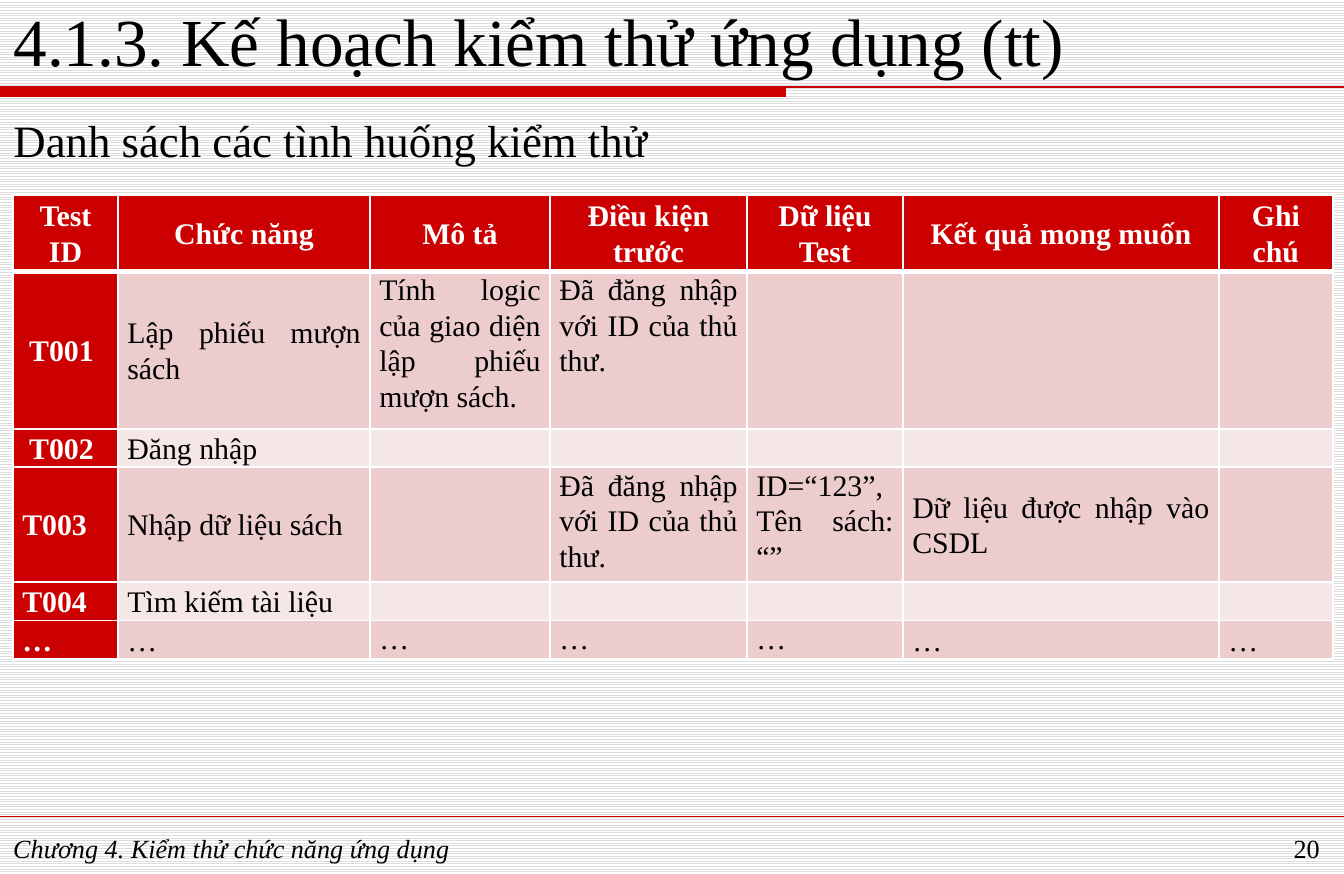
from typing import NamedTuple

from lxml.etree import SubElement
from pptx import Presentation
from pptx.dml.color import RGBColor
from pptx.enum.dml import MSO_PATTERN
from pptx.enum.shapes import MSO_CONNECTOR, MSO_SHAPE
from pptx.enum.text import MSO_ANCHOR as Anchor, MSO_AUTO_SIZE, PP_ALIGN as Align
from pptx.oxml.ns import qn
from pptx.util import Emu, Inches, Pt

PX_PER_INCH = 134.4
FONT = "Times New Roman"
RED, WHITE, BLACK = "CC0000", "FFFFFF", "000000"
BANDS = ("ECCCCC", "F6E7E7")
CELL_SIZE = 16


class Box(NamedTuple):
    left: int
    top: int
    width: int
    height: int


class Column(NamedTuple):
    header: str
    width: int
    anchor: Anchor


class Row(NamedTuple):
    height: int
    texts: tuple[str, ...]


TABLE_AT = Box(13, 195, 1320, 440)
COLUMNS = (
    Column("Test ID", 105, Anchor.MIDDLE),
    Column("Chức năng", 252, Anchor.MIDDLE),
    Column("Mô tả", 180, Anchor.TOP),
    Column("Điều kiện trước", 197, Anchor.TOP),
    Column("Dữ liệu Test", 156, Anchor.TOP),
    Column("Kết quả mong muốn", 316, Anchor.MIDDLE),
    Column("Ghi chú", 114, Anchor.MIDDLE),
)
LOGGED_IN = "Đã đăng nhập với ID của thủ thư."
ROWS = (
    Row(71, tuple(c.header for c in COLUMNS)),
    Row(157, (" T001", "Lập phiếu mượn sách",
              "Tính logic của giao diện lập phiếu mượn sách.", LOGGED_IN, "", "", "")),
    Row(35, (" T002", "Đăng nhập", "", "", "", "", "")),
    Row(107, ("T003", "Nhập dữ liệu sách", "", LOGGED_IN,
              "ID=“123”, Tên sách: “”", "Dữ liệu được nhập vào CSDL", "")),
    Row(35, ("T004", "Tìm kiếm tài liệu", "", "", "", "", "")),
    Row(35, ("…",) * len(COLUMNS)),
)


def px(n: int) -> Emu:
    return Emu(round(n * 914400 / PX_PER_INCH))


def rgb(color: str) -> RGBColor:
    return RGBColor.from_string(color)


def write(tf, text: str, *, size: int, color: str = BLACK, bold: bool = False,
          italic: bool = False, align: Align = Align.LEFT):
    """Fill the first paragraph of a text frame and return it."""
    p = tf.paragraphs[0]
    p.alignment = align
    if text:
        r = p.add_run()
        r.text = text
        f = r.font
        f.name, f.size, f.bold, f.italic = FONT, Pt(size), bold, italic
        f.color.rgb = rgb(color)
    else:
        SubElement(p._p, qn("a:endParaRPr"), sz=str(size * 100))
    return p


def place(sp, box: Box) -> None:
    sp.left, sp.top, sp.width, sp.height = map(px, box)


def add_placeholder_text(sp, box: Box, text: str, size: int, anchor: Anchor) -> None:
    place(sp, box)
    tf = sp.text_frame
    tf.auto_size = MSO_AUTO_SIZE.NONE
    tf.vertical_anchor = anchor
    p = write(tf, text, size=size)
    pPr = p._p.get_or_add_pPr()
    pPr.set("marL", "0")
    pPr.set("indent", "0")
    SubElement(pPr, qn("a:buNone"))


def add_text(shapes, box: Box, text: str, **fmt) -> None:
    tf = shapes.add_textbox(*map(px, box)).text_frame
    tf.word_wrap = True
    write(tf, text, **fmt)


def add_rule(shapes, y: int, weight: float) -> None:
    """Draw a line across the whole slide."""
    line = shapes.add_connector(MSO_CONNECTOR.STRAIGHT, 0, px(y), px(1344), px(y))
    line.line.color.rgb = rgb(RED)
    line.line.width = Pt(weight)
    SubElement(line._element.spPr, qn("a:effectLst"))


def add_title_bar(shapes, box: Box) -> None:
    bar = shapes.add_shape(MSO_SHAPE.RECTANGLE, *map(px, box))
    bar.shadow.inherit = False
    bar.fill.solid()
    bar.fill.fore_color.rgb = rgb(RED)
    bar.line.fill.background()


def set_borders(cell, top: int, bottom: int) -> None:
    tcPr = cell._tc.get_or_add_tcPr()
    for side, weight in (("L", 1), ("R", 1), ("T", top), ("B", bottom)):
        ln = SubElement(tcPr, qn(f"a:ln{side}"), w=str(Pt(weight)))
        fill = SubElement(ln, qn("a:solidFill"))
        SubElement(fill, qn("a:srgbClr"), val=WHITE)


def add_test_table(shapes) -> None:
    table = shapes.add_table(len(ROWS), len(COLUMNS), *map(px, TABLE_AT)).table
    for col, column in zip(table.columns, COLUMNS):
        col.width = px(column.width)
    for i, row in enumerate(ROWS):
        table.rows[i].height = px(row.height)
        is_header = i == 0
        for j, (text, column) in enumerate(zip(row.texts, COLUMNS)):
            strong = is_header or j == 0
            cell = table.cell(i, j)
            cell.margin_left = cell.margin_right = Inches(0.07)
            cell.margin_top = cell.margin_bottom = 0
            cell.vertical_anchor = Anchor.MIDDLE if is_header else column.anchor
            set_borders(cell, top=3 if i == 1 else 1, bottom=3 if is_header else 1)
            cell.fill.solid()
            cell.fill.fore_color.rgb = rgb(RED if strong else BANDS[(i - 1) % 2])
            p = write(cell.text_frame, text, size=CELL_SIZE, bold=strong,
                      color=WHITE if strong else BLACK,
                      align=Align.CENTER if is_header else Align.JUSTIFY)
            p.line_spacing = 1.07
            p.space_after = Pt(8)


def main() -> None:
    prs = Presentation()
    prs.slide_width, prs.slide_height = Inches(10), Inches(6.5)
    s = prs.slides.add_slide(prs.slide_layouts[1])
    bg = s.background.fill
    bg.patterned()
    bg.pattern = MSO_PATTERN.LIGHT_HORIZONTAL
    bg.fore_color.rgb, bg.back_color.rgb = rgb("DDDDDD"), rgb(WHITE)

    title, body = s.placeholders
    add_placeholder_text(title, Box(0, 9, 1344, 78),
                         "4.1.3. Kế hoạch kiểm thử ứng dụng (tt)", 36, Anchor.BOTTOM)
    add_placeholder_text(body, Box(0, 106, 1344, 699),
                         "Danh sách các tình huống kiểm thử", 24, Anchor.TOP)
    add_title_bar(s.shapes, Box(0, 87, 786, 10))
    add_rule(s.shapes, 87, 0.75)
    add_rule(s.shapes, 816, 0.25)
    add_text(s.shapes, Box(0, 825, 1098, 39), "Chương 4. Kiểm thử chức năng ứng dụng",
             size=14, italic=True)
    add_text(s.shapes, Box(1199, 825, 134, 42), "20", size=14, align=Align.RIGHT)
    add_test_table(s.shapes)
    prs.save("out.pptx")


if __name__ == "__main__":
    main()
